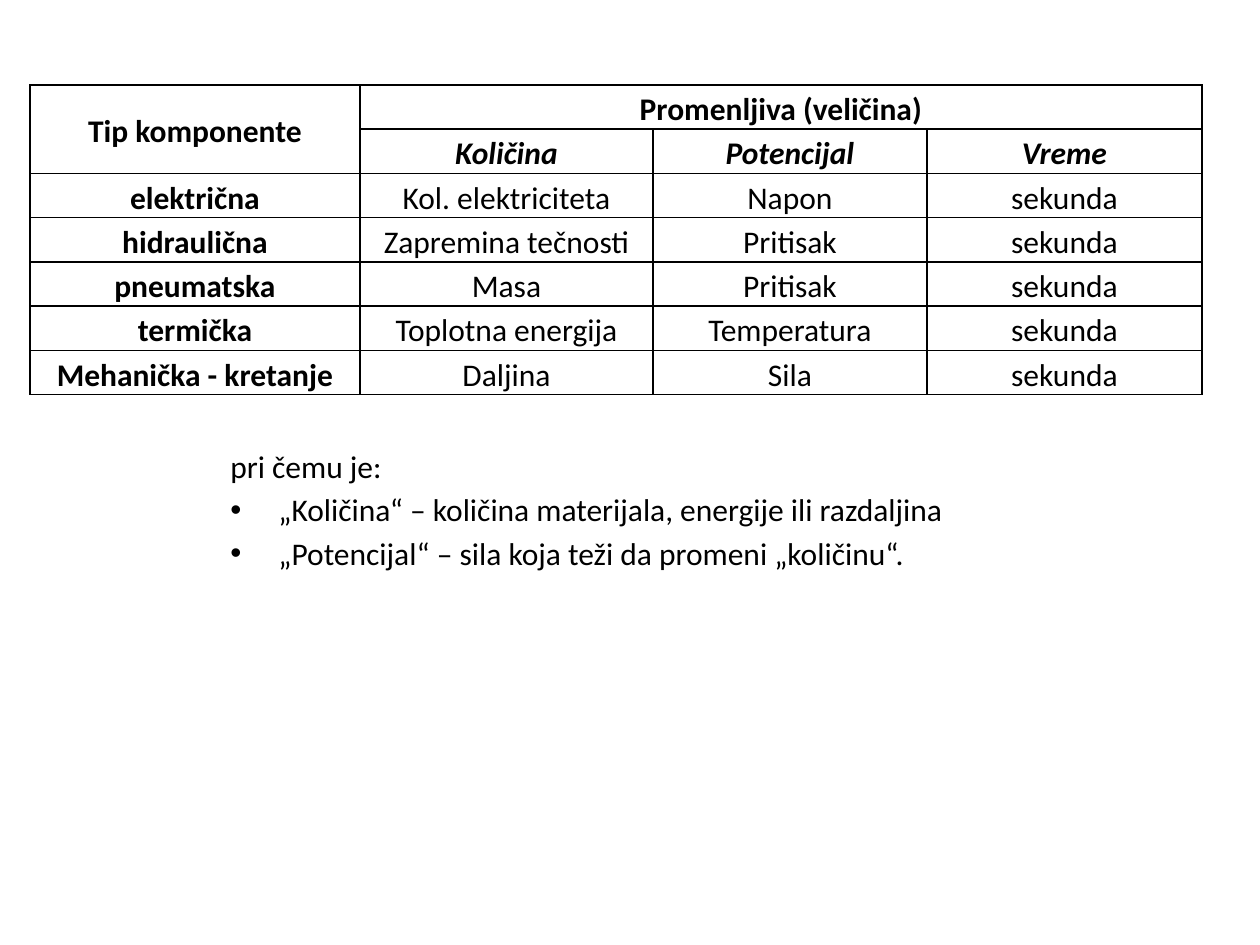
from lxml import etree
from pptx import Presentation
from pptx.dml.color import RGBColor
from pptx.enum.text import MSO_ANCHOR, MSO_AUTO_SIZE, PP_ALIGN
from pptx.oxml.ns import qn
from pptx.util import Pt

PX = 914400 // 126
BLACK = RGBColor(0, 0, 0)
FONT = "Calibri"
CENTER, JUSTIFY = PP_ALIGN.CENTER, PP_ALIGN.JUSTIFY
TOP, MIDDLE = MSO_ANCHOR.TOP, MSO_ANCHOR.MIDDLE
GROW = MSO_AUTO_SIZE.SHAPE_TO_FIT_TEXT

COLUMN_WIDTHS = [330, 293, 274, 275]
ROW_HEIGHT = 44
HEADER_ROWS = 2
ROWS = [
    ["Tip komponente", "Promenljiva (veličina)", "", ""],
    ["", "Količina", "Potencijal", "Vreme"],
    ["električna", "Kol. elektriciteta", "Napon", "sekunda"],
    ["hidraulična", "Zapremina tečnosti", "Pritisak", "sekunda"],
    ["pneumatska", "Masa", "Pritisak", "sekunda"],
    ["termička", "Toplotna energija", "Temperatura", "sekunda"],
    ["Mehanička - kretanje", "Daljina", "Sila", "sekunda"],
]
INTRODUCTION = "pri čemu je:"
DEFINITIONS = [
    "„Količina“ – količina materijala, energije ili razdaljina",
    "„Potencijal“ – sila koja teži da promeni „količinu“.",
]


def write_text(paragraph, text, align=CENTER, bold=False, italic=False, indent=0):
    """Write one paragraph, with a hanging bullet when an indent is given."""
    paragraph.alignment = align
    paragraph.line_spacing = 1.15
    run = paragraph.add_run()
    run.text = text
    font = run.font
    font.name, font.size = FONT, Pt(18)
    font.bold, font.italic = bold, italic
    font.color.rgb = BLACK
    if indent:
        properties = paragraph._p.get_or_add_pPr()
        properties.set("marL", str(indent * PX))
        properties.set("indent", str(-indent * PX))
        etree.SubElement(properties, qn("a:buFont"), typeface="Arial")
        etree.SubElement(properties, qn("a:buChar"), char="•")


def add_borders(cell):
    """Draw a thin black line on all four sides of a cell."""
    properties = cell._tc.get_or_add_tcPr()
    for position, side in enumerate(("a:lnL", "a:lnR", "a:lnT", "a:lnB")):
        line = etree.Element(qn(side), w=str(Pt(1)))
        fill = etree.SubElement(line, qn("a:solidFill"))
        etree.SubElement(fill, qn("a:srgbClr"), val=str(BLACK))
        properties.insert(position, line)


def add_component_table(slide, left, top):
    """Place the table of component types and their variables."""
    width, height = sum(COLUMN_WIDTHS), ROW_HEIGHT * len(ROWS)
    table = slide.shapes.add_table(
        len(ROWS), len(COLUMN_WIDTHS), left * PX, top * PX, width * PX, height * PX
    ).table
    table.first_row = table.horz_banding = False
    for column, column_width in zip(table.columns, COLUMN_WIDTHS):
        column.width = column_width * PX
    for row_index, row in enumerate(ROWS):
        for column_index, text in enumerate(row):
            cell = table.cell(row_index, column_index)
            cell.margin_left = cell.margin_right = 9 * PX
            cell.margin_top = cell.margin_bottom = 0
            cell.vertical_anchor = MIDDLE if row_index == column_index == 0 else TOP
            cell.fill.background()
            add_borders(cell)
            if text:
                write_text(
                    cell.text_frame.paragraphs[0],
                    text,
                    bold=row_index < HEADER_ROWS or column_index == 0,
                    italic=row_index == 1,
                )
    table.cell(0, 0).merge(table.cell(1, 0))
    table.cell(0, 1).merge(table.cell(0, 3))


def add_definitions(slide, left, top, width, height):
    """Place the introduction and the bulleted definitions."""
    shape = slide.shapes.add_textbox(left * PX, top * PX, width * PX, height * PX)
    frame = shape.text_frame
    frame.word_wrap = True
    frame.auto_size = GROW
    write_text(frame.paragraphs[0], INTRODUCTION, align=JUSTIFY)
    for definition in DEFINITIONS:
        write_text(frame.add_paragraph(), definition, align=JUSTIFY, indent=48)


def main():
    """Build and save the slide."""
    presentation = Presentation()
    presentation.slide_width = 1260 * PX
    presentation.slide_height = 945 * PX
    slide = presentation.slides.add_slide(presentation.slide_layouts[6])
    add_component_table(slide, 30, 85)
    add_definitions(slide, 218, 435, 823, 145)
    presentation.save("out.pptx")


if __name__ == "__main__":
    main()
